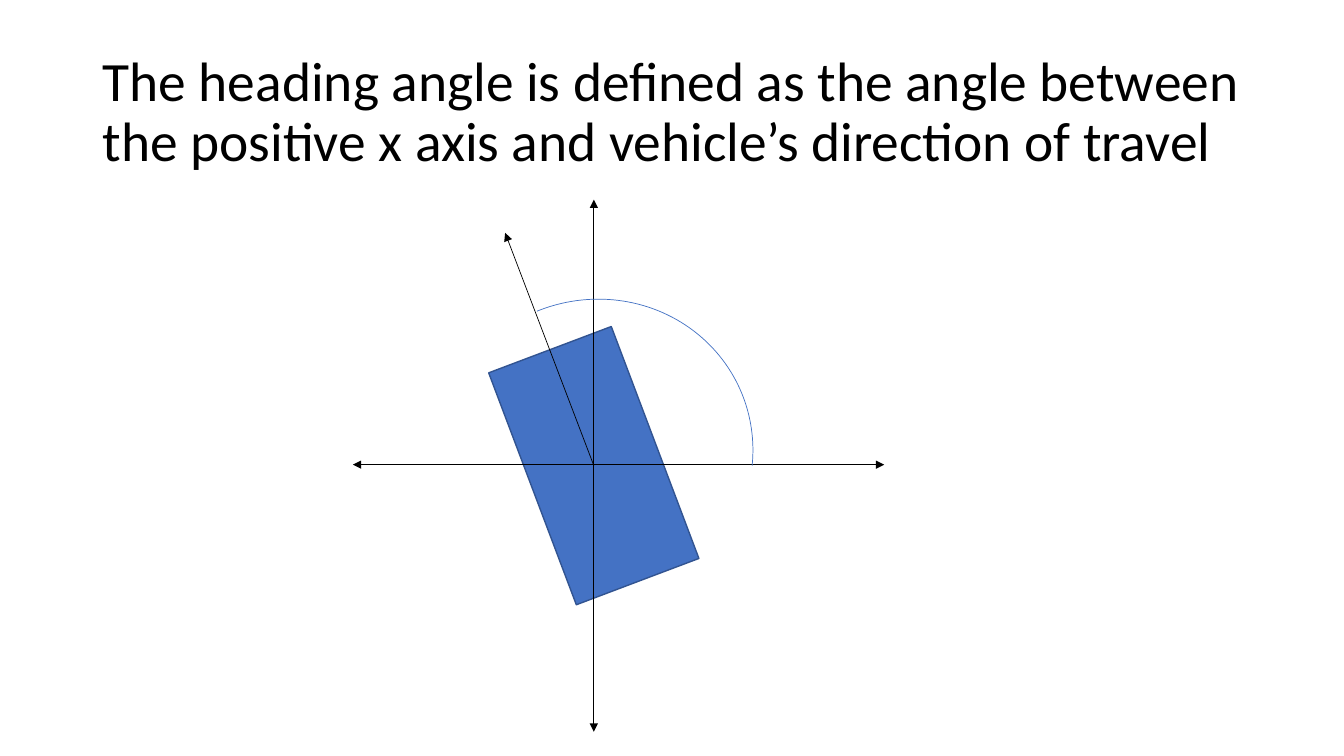
from lxml.etree import SubElement
from pptx import Presentation
from pptx.dml.color import RGBColor
from pptx.enum.shapes import MSO_CONNECTOR, MSO_SHAPE
from pptx.enum.text import MSO_ANCHOR
from pptx.oxml.ns import qn
from pptx.util import Inches, Pt

COLORS = {"ink": "000000", "vehicle": "4472C4", "edge": "325491"}
CENTER_X, CENTER_Y = 5.89, 4.62


def rgb(name):
    return RGBColor.from_string(COLORS[name])


def set_line(s, color, width):
    s.line.color.rgb = rgb(color)
    s.line.width = Pt(width)


def add_title(slide, text):
    s = slide.shapes.add_textbox(Inches(0.92), Inches(0.4), Inches(11.5), Inches(1.45))
    tf = s.text_frame
    tf.word_wrap = True
    tf.vertical_anchor = MSO_ANCHOR.MIDDLE
    p = tf.paragraphs[0]
    p.line_spacing = 0.9
    r = p.add_run()
    r.text = text
    r.font.name = "Calibri"
    r.font.size = Pt(39.6)
    r.font.color.rgb = rgb("ink")


def add_centered(slide, preset, x, y, width, height, rotation):
    """Add a rotated preset shape whose middle is at x, y."""
    s = slide.shapes.add_shape(preset, Inches(x - width / 2), Inches(y - height / 2),
                               Inches(width), Inches(height))
    s.rotation = rotation
    s.shadow.inherit = False
    return s


def add_vehicle(slide):
    s = add_centered(slide, MSO_SHAPE.RECTANGLE, CENTER_X, CENTER_Y, 1.3, 2.46, 339.3)
    s.fill.solid()
    s.fill.fore_color.rgb = rgb("vehicle")
    set_line(s, "edge", 1)


def add_arrow(slide, start, end, both=False):
    s = slide.shapes.add_connector(MSO_CONNECTOR.STRAIGHT,
                                   *(Inches(v) for v in (*start, *end)))
    set_line(s, "ink", 0.5)
    ln = s.line._get_or_add_ln()
    for tag in ("a:headEnd", "a:tailEnd") if both else ("a:tailEnd",):
        SubElement(ln, qn(tag), type="triangle")
    SubElement(s._element.spPr, qn("a:effectLst"))


def add_heading_arc(slide):
    s = add_centered(slide, MSO_SHAPE.ARC, 5.9, 4.5, 3.15, 3.05, 337.9)
    s.adjustments[0] = 162
    s.adjustments[1] = 15.87
    s.fill.background()
    set_line(s, "vehicle", 0.5)


def main():
    prs = Presentation()
    prs.slide_width, prs.slide_height = Inches(13.33), Inches(7.5)
    slide = prs.slides.add_slide(prs.slide_layouts[6])
    add_title(slide, "The heading angle is defined as the angle between "
                     "the positive x axis and vehicle’s direction of travel")
    add_vehicle(slide)
    add_arrow(slide, (CENTER_X, 1.98), (CENTER_X, 7.26), both=True)
    add_arrow(slide, (3.5, 4.61), (8.77, 4.61), both=True)
    add_arrow(slide, (CENTER_X, CENTER_Y), (5.01, 2.31))
    add_heading_arc(slide)
    prs.save("out.pptx")


if __name__ == "__main__":
    main()
